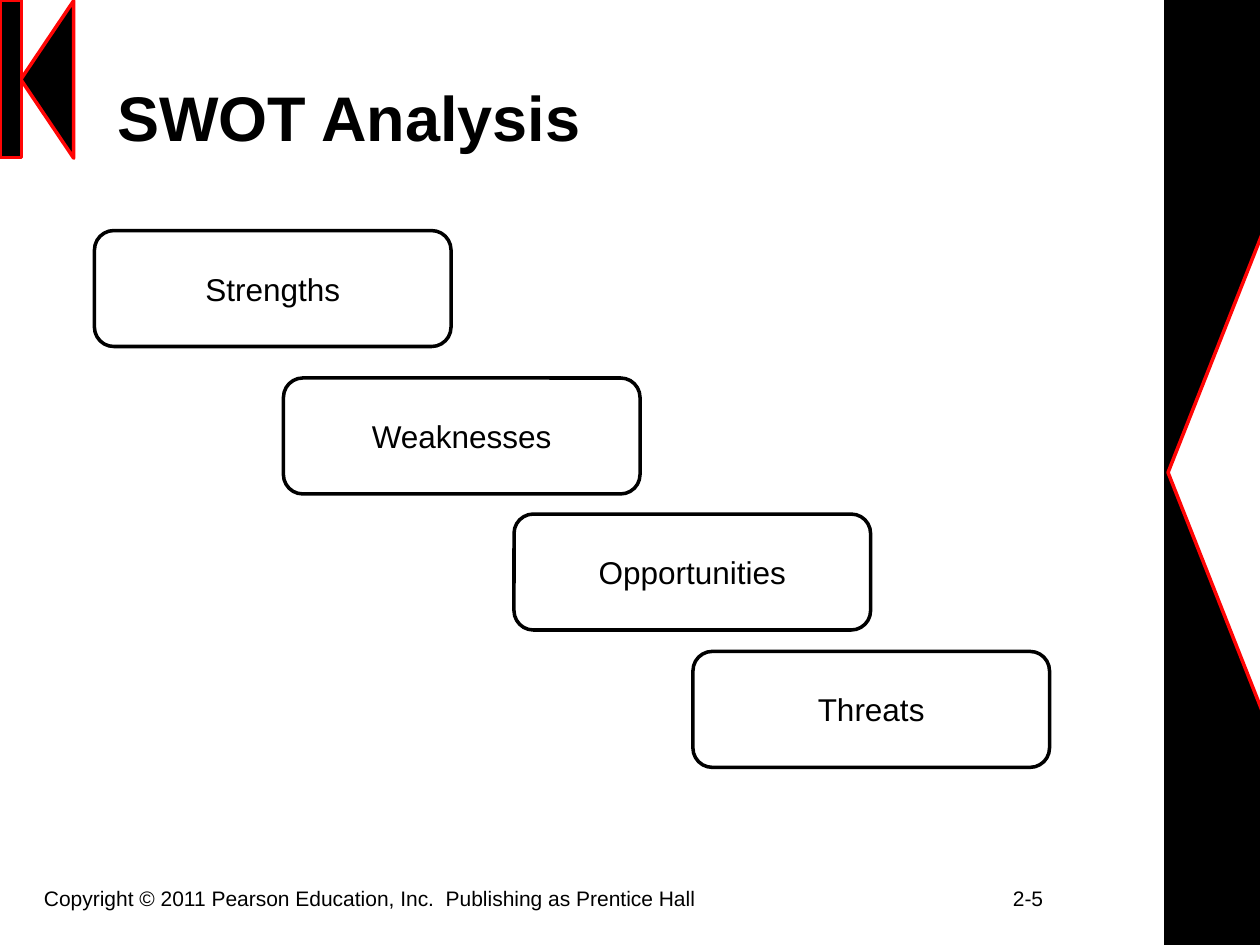
from lxml.etree import SubElement
from pptx import Presentation
from pptx.dml.color import RGBColor
from pptx.enum.shapes import MSO_SHAPE as Shape
from pptx.enum.text import MSO_ANCHOR as Anchor, PP_ALIGN as Align
from pptx.oxml.ns import qn
from pptx.util import Inches, Pt

BLACK, WHITE, RED = "000000", "FFFFFF", "FF0505"

TITLE = "SWOT Analysis"
FOOTER = "Copyright © 2011 Pearson Education, Inc.  Publishing as Prentice Hall"
PAGE_NUMBER = "2-5"
PAGE_NUMBER_TAB = 7.69

# Preset, left, top, width, height, rotation, fill, line
DECORATION = [
    (Shape.RECTANGLE, 9.25, 0, 0.75, 7.5, 0, BLACK, BLACK),
    (Shape.ISOSCELES_TRIANGLE, 6.26, 3.01, 7.5, 1.48, 270, WHITE, RED),
    (Shape.ISOSCELES_TRIANGLE, -0.25, 0.42, 1.25, 0.42, 270, BLACK, RED),
    (Shape.RECTANGLE, 0, 0, 0.17, 1.25, 0, BLACK, RED),
]

# Label, left, top
STEPS = [
    ("Strengths", 0.75, 1.83),
    ("Weaknesses", 2.25, 3),
    ("Opportunities", 4.08, 4.08),
    ("Threats", 5.5, 5.17),
]
STEP_SIZE = (2.83, 0.92)


def color(value):
    return RGBColor.from_string(value)


def add_shape(page, preset, left, top, width, height, rotation, fill, line):
    shape = page.shapes.add_shape(
        preset, Inches(left), Inches(top), Inches(width), Inches(height))
    shape.rotation = rotation
    shape.shadow.inherit = False
    shape.fill.solid()
    shape.fill.fore_color.rgb = color(fill)
    shape.line.color.rgb = color(line)
    shape.line.width = Pt(2)
    return shape


def write(box, text, size, align=Align.LEFT, anchor=Anchor.MIDDLE, bold=False, tab=None):
    frame = box.text_frame
    frame.word_wrap = True
    frame.vertical_anchor = anchor
    para = frame.paragraphs[0]
    para.text = text
    para.alignment = align
    if tab is not None:
        stops = SubElement(para._p.get_or_add_pPr(), qn("a:tabLst"))
        SubElement(stops, qn("a:tab"), pos=str(Inches(tab)), algn="l")
    font = para.font
    font.name, font.size, font.bold = "Arial", Pt(size), bold
    font.color.rgb = color(BLACK)


def main():
    deck = Presentation()
    deck.slide_width, deck.slide_height = Inches(10), Inches(7.5)
    page = deck.slides.add_slide(deck.slide_layouts[5])

    # Side bar and corner mark
    for item in DECORATION:
        add_shape(page, *item)

    # Title
    title = page.shapes.title
    title.left, title.top = Inches(0.83), Inches(0.3)
    title.width, title.height = Inches(8.42), Inches(1.25)
    write(title, TITLE, 36, bold=True)

    # Footer with page number
    footer = page.shapes.add_textbox(
        Inches(0.25), Inches(6.98), Inches(9.42), Inches(0.52))
    write(footer, f"{FOOTER}\t{PAGE_NUMBER}", 12, anchor=Anchor.TOP, tab=PAGE_NUMBER_TAB)

    # Descending SWOT boxes
    for label, left, top in STEPS:
        step = add_shape(page, Shape.ROUNDED_RECTANGLE, left, top, *STEP_SIZE, 0, WHITE, BLACK)
        write(step, label, 18, Align.CENTER)

    deck.save("out.pptx")


if __name__ == "__main__":
    main()
